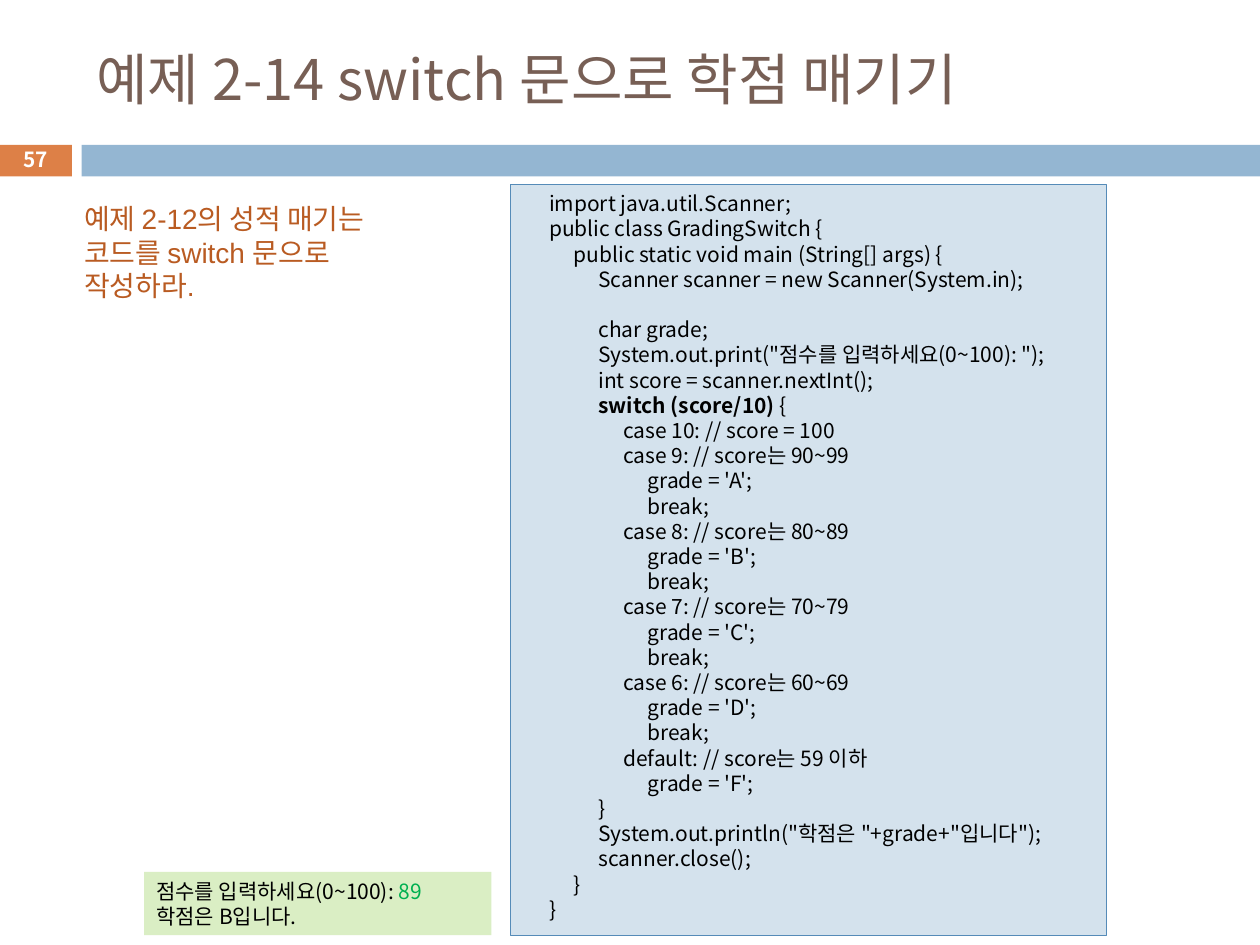
from dataclasses import dataclass
from lxml import etree
from pptx import Presentation
from pptx import util as u
from pptx.dml.color import RGBColor
from pptx.enum import shapes, text
from pptx.oxml import ns

BLACK = RGBColor(0x00, 0x00, 0x00)
WHITE = RGBColor(0xFF, 0xFF, 0xFF)
BROWN = RGBColor(0x77, 0x5F, 0x55)
ORANGE = RGBColor(0xDD, 0x80, 0x47)
RUST = RGBColor(0xB9, 0x5B, 0x22)
BLUE = RGBColor(0x94, 0xB6, 0xD2)
PALE_BLUE = RGBColor(0xD4, 0xE2, 0xED)
EDGE_BLUE = RGBColor(0x55, 0x8B, 0xB8)
PALE_GREEN = RGBColor(0xDA, 0xEE, 0xC4)
GREEN = RGBColor(0x00, 0xB0, 0x50)

GRADES = [
    line
    for tens, grade in zip((9, 8, 7, 6), "ABCD")
    for line in (
        f"\t\t\tcase {tens}: // score는 {tens}0~{tens}9",
        f"\t\t\t\tgrade = '{grade}';",
        "\t\t\t\tbreak;",
    )
]
CODE = [
    "import java.util.Scanner;",
    "public class GradingSwitch {",
    "\tpublic static void main (String[] args) {",
    "\t\tScanner scanner = new Scanner(System.in);",
    "\t\t",
    "\t\tchar grade;",
    "\t\tSystem.out.print(\"점수를 입력하세요(0~100): \");",
    "\t\tint score = scanner.nextInt();",
    "\t\tswitch (score/10) {",
    "\t\t\tcase 10: // score = 100",
    *GRADES,
    "\t\t\tdefault: // score는 59 이하",
    "\t\t\t\tgrade = 'F';",
    "\t\t}",
    "\t\tSystem.out.println(\"학점은 \"+grade+\"입니다\");",
    "\t\tscanner.close();",
    "\t}",
    "}",
]


@dataclass
class Deck:
    """Holds the style and the current slide, and adds elements in points."""

    s: object
    font: str = "Noto Sans CJK KR"
    indent: float = 15.1
    tab: float = 14.1

    def rect(self, box, fill, line=None):
        sp = self.s.shapes.add_shape(shapes.MSO_SHAPE.RECTANGLE, *map(u.Pt, box))
        sp.shadow.inherit = False
        sp.fill.solid()
        sp.fill.fore_color.rgb = fill
        if line is None:
            sp.line.fill.background()
        else:
            sp.line.color.rgb = line
            sp.line.width = u.Pt(0.75)
        return sp

    def textbox(self, box):
        return self.s.shapes.add_textbox(*map(u.Pt, box))

    def add_run(self, p, content, size, color, name=None, bold=False):
        r = p.add_run()
        r.text = content
        r.font.color.rgb = color
        fmt = {"size": u.Pt(size), "name": name or self.font, "bold": bold}
        for key, value in fmt.items():
            setattr(r.font, key, value)
        ea = etree.SubElement(r._r.get_or_add_rPr(), ns.qn("a:ea"))
        ea.set("typeface", self.font)

    def add_lines(self, sp, lines, style, accent="", accent_style=None, frame=None,
                  align=text.PP_ALIGN.LEFT, tight=True, code=False):
        tf = sp.text_frame
        base = {"word_wrap": True, "vertical_anchor": text.MSO_ANCHOR.TOP}
        for key, value in (base | (frame or {})).items():
            setattr(tf, key, value)
        for i, line in enumerate(lines):
            p = tf.add_paragraph() if i else tf.paragraphs[0]
            p.alignment = align
            if tight:
                p.line_spacing = u.Pt(style["size"] * 1.2)
            if code:
                level = len(line) - len(line.lstrip("\t"))
                line = line.lstrip("\t")
                margin = u.Pt(self.indent + level * self.tab)
                p._p.get_or_add_pPr().set("marL", str(margin))
            before, hit, after = line.partition(accent) if accent else (line, "", "")
            if before or not hit:
                self.add_run(p, before, **style)
            if hit:
                self.add_run(p, hit, **(style | accent_style))
            if after:
                self.add_run(p, after, **style)


def main():
    prs = Presentation()
    prs.slide_width, prs.slide_height = u.Pt(720), u.Pt(540)
    deck = Deck(prs.slides.add_slide(prs.slide_layouts[6]))
    middle = {"vertical_anchor": text.MSO_ANCHOR.MIDDLE}
    body = {"size": 12, "color": BLACK}

    deck.rect((-0.7, 82.8, 41.8, 18), ORANGE)
    deck.rect((46.6, 82.8, 673.4, 18), BLUE)
    deck.add_lines(deck.textbox((48, 18, 642, 53.5)),
                   ["예제 2-14 switch 문으로 학점 매기기"],
                   {"size": 32, "color": BROWN}, frame=middle, tight=False)
    deck.add_lines(deck.textbox((-0.7, 81.4, 41.8, 19.4)), ["57"],
                   {"size": 11.9, "color": WHITE, "bold": True},
                   frame=middle, align=text.PP_ALIGN.CENTER, tight=False)
    deck.add_lines(deck.textbox((41, 111.6, 194.4, 65.5)),
                   ["예제 2-12의 성적 매기는", "코드를 switch 문으로", "작성하라."],
                   {"size": 16, "color": RUST, "name": "Arial"},
                   frame={"word_wrap": False})
    deck.add_lines(deck.rect((291.6, 105.5, 340.6, 429), PALE_BLUE, EDGE_BLUE),
                   CODE, body, "switch (score/10) ", {"bold": True}, code=True)
    deck.add_lines(deck.rect((82.3, 498.2, 198.5, 36.2), PALE_GREEN),
                   ["점수를 입력하세요(0~100): 89", "학점은 B입니다."],
                   body, "89", {"color": GREEN})
    prs.save("out.pptx")


if __name__ == "__main__":
    main()
